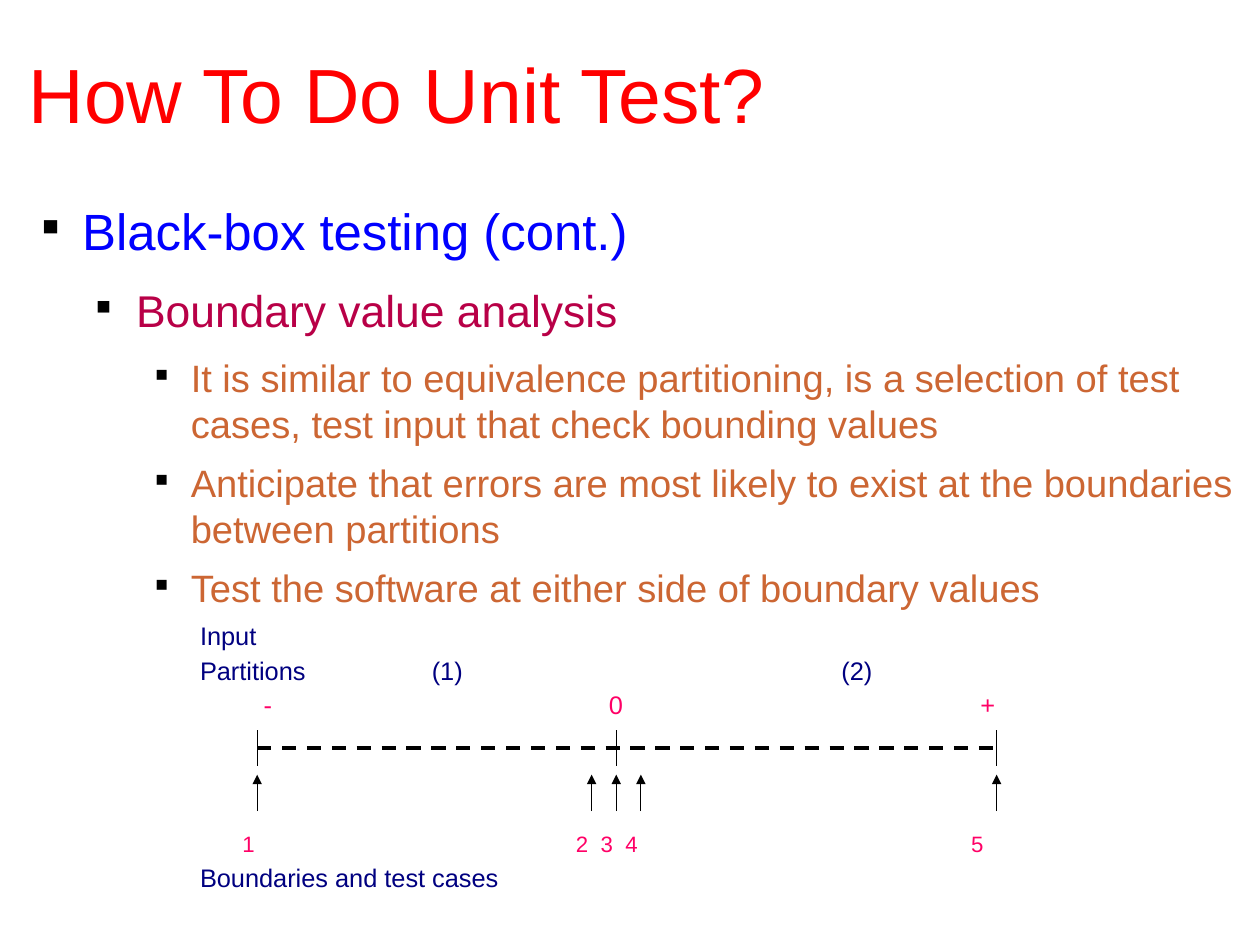
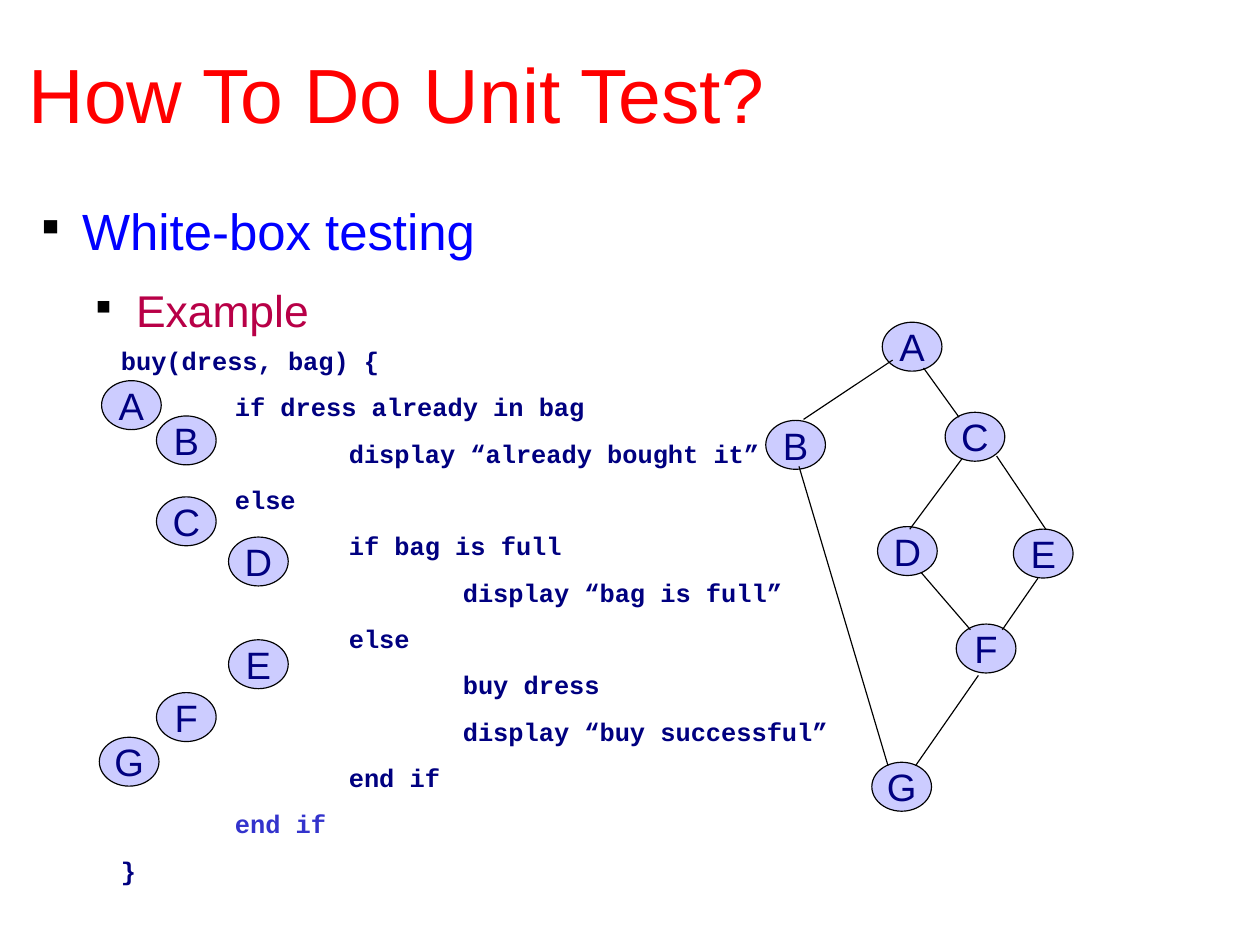
from dataclasses import dataclass
from lxml.etree import SubElement
from pptx import Presentation
from pptx.dml.color import RGBColor
from pptx.enum.dml import MSO_LINE
from pptx.enum.shapes import MSO_CONNECTOR, MSO_SHAPE
from pptx.enum.text import MSO_ANCHOR, PP_ALIGN
from pptx.oxml.ns import qn
from pptx.util import Pt


@dataclass(frozen=True)
class Level:
    size: float
    color: str
    margin: float
    indent: float
    space_after: float


@dataclass(frozen=True)
class Theme:
    font: str = "Arial"
    code_font: str = "Courier New"
    title: str = "FF0000"
    ink: str = "000000"
    navy: str = "000080"
    pink: str = "FF0066"
    code_accent: str = "3333CC"
    node: str = "CCCCFF"
    title_size: float = 48.4
    node_size: float = 24
    label_size: float = 16
    number_size: float = 14
    thin: float = 0.75
    thick: float = 2.25
    levels: tuple = (
        Level(32.1, "0000FF", 33.8, -25.2, 14.1),
        Level(28, "B80047", 67.7, -25.2, 11.3),
        Level(24, "CC6633", 102.2, -22.3, 8.5),
    )


THEME = Theme()
SLIDE_SIZE = (793.7, 595.28)
TITLE_BOX = (18, 18, 774, 81)
BODY_BOX = (18, 125.8, 774, 432)
NODE_SIZE = (37.6, 30.8)

BOUNDARY_OUTLINE = [
    (0, "Black-box testing (cont.)"),
    (1, "Boundary value analysis"),
    (2, "It is similar to equivalence partitioning, is a selection of test cases, "
        "test input that check bounding values"),
    (2, "Anticipate that errors are most likely to exist at the boundaries between partitions"),
    (2, "Test the software at either side of boundary values"),
]
EXAMPLE_OUTLINE = [(0, "White-box testing"), (1, "Example")]

PARTITION_LINES = [
    ("Input", THEME.navy, THEME.label_size, 0, ()),
    ("Partitions\t(1)\t(2)", THEME.navy, THEME.label_size, 4, (146, 404)),
    ("\t-\t0\t+", THEME.pink, THEME.label_size, 4, (40, 257.5, 491.5)),
    ("\t1\t2\t3\t4\t5", THEME.pink, THEME.number_size, 70.5, (26.7, 236.7, 252.3, 268, 485.7)),
    ("Boundaries and test cases", THEME.navy, THEME.label_size, 4.5, ()),
]

CODE_LINES = [
    (0, "buy(dress, bag) {", THEME.navy),
    (1, "if dress already in bag", THEME.navy),
    (2, "display “already bought it”", THEME.navy),
    (1, "else", THEME.navy),
    (2, "if bag is full", THEME.navy),
    (3, "display “bag is full”", THEME.navy),
    (2, "else", THEME.navy),
    (3, "buy dress", THEME.navy),
    (3, "display “buy successful”", THEME.navy),
    (2, "end if", THEME.navy),
    (1, "end if", THEME.code_accent),
    (0, "}", THEME.navy),
]
CODE_MARKERS = {
    "A": (10, 26), "B": (44.6, 48.2), "C": (44.6, 99.2), "D": (90, 124.5),
    "E": (90, 189.2), "F": (44.6, 222.5), "G": (8.6, 250.6),
}
FLOW_NODES = {
    "A": (73.4, 0), "B": (0, 61.8), "C": (113, 56.7), "D": (70.4, 128.7),
    "E": (156, 130.3), "F": (120, 190.1), "G": (66.8, 277.2),
}
FLOW_EDGES = [
    ((79.9, 23.8), (23.8, 61.2)),
    ((99.4, 28.8), (121.7, 59.8)),
    ((123.8, 85.7), (90.7, 130.4)),
    ((145.4, 84.3), (176.4, 130.4)),
    ((97.9, 157.7), (128.9, 193.7)),
    ((171.4, 161.3), (149, 193.7)),
    ((133.9, 222.5), (94.3, 279.4)),
    ((20.9, 90.8), (77, 279.4)),
]


def points(values):
    return [Pt(value) for value in values]


def style(paragraph, size, color, font=THEME.font, bold=False):
    paragraph.font.name = font
    paragraph.font.size = Pt(size)
    paragraph.font.bold = bold
    paragraph.font.color.rgb = RGBColor.from_string(color)


def add_paragraph(frame, index, text):
    paragraph = frame.add_paragraph() if index else frame.paragraphs[0]
    paragraph.text = text
    return paragraph


def set_indent(paragraph, margin, indent=0):
    properties = paragraph._p.get_or_add_pPr()
    properties.set("marL", str(Pt(margin)))
    properties.set("indent", str(Pt(indent)))
    return properties


def add_bullet(properties):
    color = SubElement(properties, qn("a:buClr"))
    SubElement(color, qn("a:srgbClr"), val=THEME.ink)
    SubElement(properties, qn("a:buSzPct"), val="45000")
    SubElement(properties, qn("a:buChar"), char="■")


def add_tabs(paragraph, stops):
    tabs = SubElement(paragraph._p.get_or_add_pPr(), qn("a:tabLst"))
    for stop in stops:
        SubElement(tabs, qn("a:tab"), pos=str(Pt(stop)), algn="l")


def add_text_frame(slide, box, inset=True):
    frame = slide.shapes.add_textbox(*points(box)).text_frame
    frame.word_wrap = True
    if not inset:
        frame.margin_left = frame.margin_right = 0
        frame.margin_top = frame.margin_bottom = 0
    return frame


def add_line(slide, start, end, width=THEME.thin, dash=None, arrow=False):
    line = slide.shapes.add_connector(MSO_CONNECTOR.STRAIGHT, *points((*start, *end)))
    line.line.color.rgb = RGBColor.from_string(THEME.ink)
    line.line.width = Pt(width)
    if dash:
        line.line.dash_style = dash
    if arrow:
        SubElement(line.line._get_or_add_ln(), qn("a:tailEnd"), type="triangle")
    SubElement(line._element.spPr, qn("a:effectLst"))


def add_nodes(slide, left, top, nodes):
    for label, (x, y) in nodes.items():
        shape = slide.shapes.add_shape(
            MSO_SHAPE.OVAL, *points((left + x, top + y, *NODE_SIZE)))
        shape.shadow.inherit = False
        shape.fill.solid()
        shape.fill.fore_color.rgb = RGBColor.from_string(THEME.node)
        shape.line.color.rgb = RGBColor.from_string(THEME.ink)
        shape.line.width = Pt(THEME.thin)
        frame = shape.text_frame
        frame.word_wrap = False
        frame.vertical_anchor = MSO_ANCHOR.MIDDLE
        paragraph = add_paragraph(frame, 0, label)
        paragraph.alignment = PP_ALIGN.CENTER
        style(paragraph, THEME.node_size, THEME.navy)


def add_outline_slide(presentation, outline):
    slide = presentation.slides.add_slide(presentation.slide_layouts[6])
    title = add_text_frame(slide, TITLE_BOX, inset=False)
    title.vertical_anchor = MSO_ANCHOR.MIDDLE
    style(add_paragraph(title, 0, "How To Do Unit Test?"), THEME.title_size, THEME.title)
    body = add_text_frame(slide, BODY_BOX, inset=False)
    for index, (depth, text) in enumerate(outline):
        level = THEME.levels[depth]
        paragraph = add_paragraph(body, index, text)
        paragraph.level = depth
        paragraph.space_after = Pt(level.space_after)
        add_bullet(set_indent(paragraph, level.margin, level.indent))
        style(paragraph, level.size, level.color)
    return slide


def add_partition_table(slide, box):
    table = slide.shapes.add_table(1, 1, *points(box)).table
    table.first_row = table.horz_banding = False
    cell = table.cell(0, 0)
    cell.fill.background()
    for index, (text, color, size, space, stops) in enumerate(PARTITION_LINES):
        paragraph = add_paragraph(cell.text_frame, index, text)
        paragraph.space_before = Pt(space)
        if stops:
            add_tabs(paragraph, stops)
        style(paragraph, size, color)


def add_number_line(slide, left, top):
    ticks = (0, 226.2, 465.8)
    tick_height = 22.6
    axis = top + tick_height / 2
    add_line(slide, (left, axis), (left + 468, axis), THEME.thick, MSO_LINE.DASH)
    for x in ticks:
        add_line(slide, (left + x, top), (left + x, top + tick_height))
    for x in (ticks[0], ticks[1] - 15.5, ticks[1], ticks[1] + 15.5, ticks[2]):
        add_line(slide, (left + x, top + 51), (left + x, top + 28), arrow=True)


def add_code(slide, box):
    left, top = box[:2]
    frame = add_text_frame(slide, box)
    for index, (depth, text, color) in enumerate(CODE_LINES):
        paragraph = add_paragraph(frame, index, text)
        paragraph.space_before = Pt(4)
        paragraph.space_after = Pt(6)
        set_indent(paragraph, 15.1 + 71.8 * depth)
        style(paragraph, THEME.label_size, color, THEME.code_font, bold=True)
    add_nodes(slide, left, top, CODE_MARKERS)


def add_flow_graph(slide, left, top):
    add_nodes(slide, left, top, FLOW_NODES)
    for (x1, y1), (x2, y2) in FLOW_EDGES:
        add_line(slide, (left + x1, top + y1), (left + x2, top + y2))


def main():
    presentation = Presentation()
    presentation.slide_width, presentation.slide_height = points(SLIDE_SIZE)

    boundary_slide = add_outline_slide(presentation, BOUNDARY_OUTLINE)
    add_partition_table(boundary_slide, (118.8, 388.8, 612, 188))
    add_number_line(boundary_slide, 162, 460)

    example_slide = add_outline_slide(presentation, EXAMPLE_OUTLINE)
    add_code(example_slide, (54, 213.8, 540, 393.8))
    add_flow_graph(example_slide, 482.4, 203)

    presentation.save("out.pptx")


if __name__ == "__main__":
    main()
